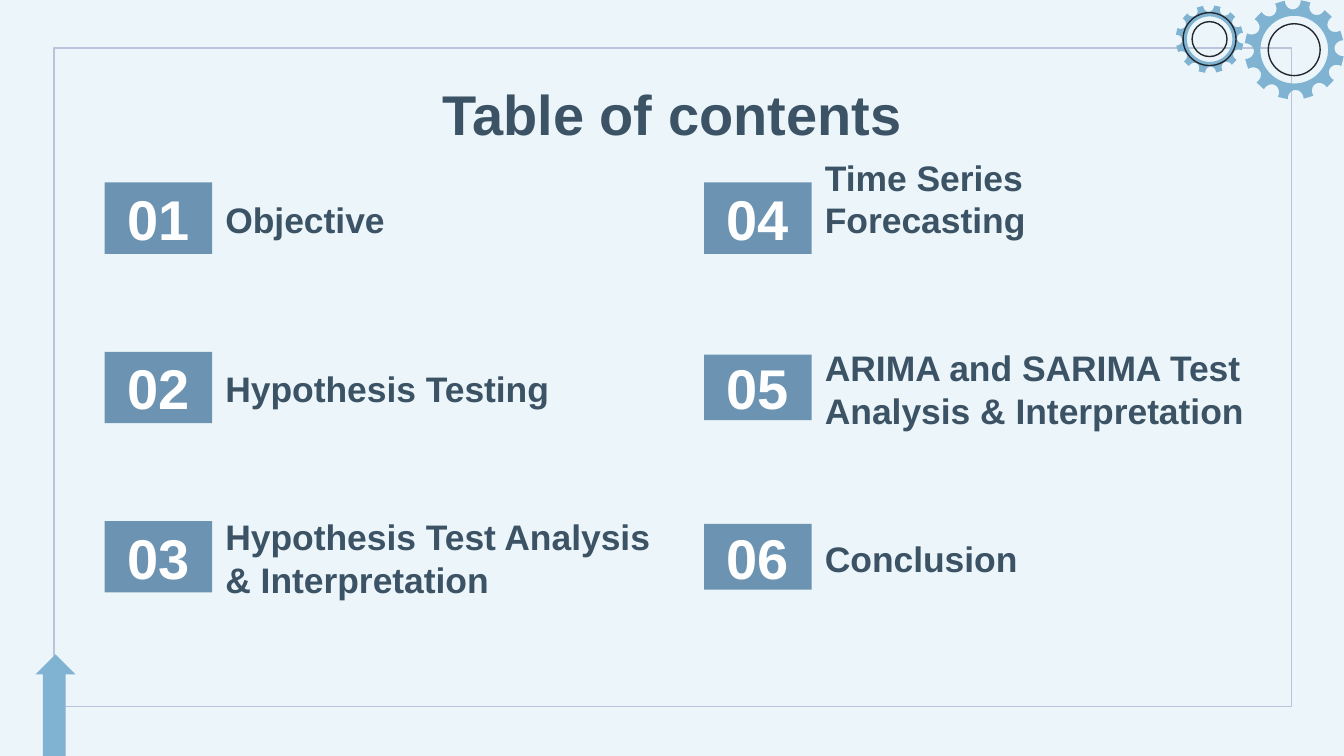
from math import cos, pi, sin

from pptx import Presentation
from pptx.dml.color import RGBColor
from pptx.enum.shapes import MSO_SHAPE
from pptx.enum.text import MSO_ANCHOR, PP_ALIGN
from pptx.util import Cm, Pt

RECT, OVAL, TRIANGLE = MSO_SHAPE.RECTANGLE, MSO_SHAPE.OVAL, MSO_SHAPE.ISOSCELES_TRIANGLE
TOP, MIDDLE, BOTTOM = MSO_ANCHOR.TOP, MSO_ANCHOR.MIDDLE, MSO_ANCHOR.BOTTOM
LEFT, CENTER = PP_ALIGN.LEFT, PP_ALIGN.CENTER

COLORS = {
    "background": "ECF6FA",
    "frame": "B9C4DA",
    "accent": "80B3D2",
    "ring": "21272C",
    "badge": "6C94B2",
    "text": "3C5366",
    "white": "FFFFFF",
}

ITEMS = [
    ("Objective", 8.05, 1.35, 1.35),
    ("Hypothesis Testing", 8.05, 1.35, 1.35),
    ("Hypothesis Test Analysis & Interpretation", 9.02, 1.75, 1.35),
    ("Time Series Forecasting", 8.05, 1.35, 1.35),
    ("ARIMA and SARIMA Test Analysis & Interpretation", 8.79, 1.75, 1.24),
    ("Conclusion", 8.05, 1.35, 1.24),
]


class Deck:
    """Holds the style and the current slide, and draws each kind of element."""

    def __init__(self, prs):
        self.s = prs.slides.add_slide(prs.slide_layouts[6])
        self.paint(self.s.background.fill, "background")

    def paint(self, fill, color):
        fill.solid()
        fill.fore_color.rgb = RGBColor.from_string(COLORS[color])

    def style(self, sp, fill=None, line=None):
        sp.shadow.inherit = False
        if fill:
            self.paint(sp.fill, fill)
        else:
            sp.fill.background()
        if line:
            self.paint(sp.line.fill, line)
            sp.line.width = Pt(0.75)
        else:
            sp.line.fill.background()
        return sp

    def shape(self, kind, box, fill=None, line=None):
        sp = self.s.shapes.add_shape(kind, *map(Cm, box))
        return self.style(sp, fill, line)

    def label(self, sp, text, size, color, anchor, align):
        tf = sp.text_frame
        margins = dict.fromkeys(("margin_left", "margin_top", "margin_right", "margin_bottom"), Cm(0.25))
        for name, value in {"word_wrap": True, "vertical_anchor": anchor, **margins}.items():
            setattr(tf, name, value)
        p = tf.paragraphs[0]
        p.alignment = align
        r = p.add_run()
        r.text = text
        for name, value in {"name": "Arial", "size": Pt(size), "bold": True}.items():
            setattr(r.font, name, value)
        self.paint(r.font.fill, color)

    def text(self, box, text, size, anchor, align):
        sp = self.s.shapes.add_textbox(*map(Cm, box))
        self.label(sp, text, size, "text", anchor, align)

    def badge(self, box, text):
        sp = self.shape(RECT, box, "badge")
        self.label(sp, text, 30, "white", MIDDLE, CENTER)

    def ring(self, x, y, radius):
        self.shape(OVAL, (x - radius, y - radius, 2 * radius, 2 * radius), line="ring")

    def gear(self, x, y, radius, hole, teeth=12, steps=12):
        def place(angle, out, side=0):
            return (Cm(x + out * cos(angle) - side * sin(angle)),
                    Cm(y + out * sin(angle) + side * cos(angle)))

        rim = []
        for i in range(teeth):
            angle = 2 * pi * i / teeth - 0.03
            for j in range(steps + 1):
                t = pi * j / steps
                rim.append(place(angle, radius * (0.99 - 0.18 * sin(t)), -0.16 * radius * cos(t)))
            rim.append(place(angle + pi / teeth, radius))
        bore = [place(-2 * pi * i / 72, hole) for i in range(72)]
        builder = self.s.shapes.build_freeform(*rim[0], scale=1.0)
        builder.add_line_segments(rim[1:], close=True)
        builder.move_to(*bore[0])
        builder.add_line_segments(bore[1:], close=True)
        self.style(builder.convert_to_shape(), "accent")


def main():
    prs = Presentation()
    prs.slide_width, prs.slide_height = Cm(25.4), Cm(14.29)
    deck = Deck(prs)
    deck.shape(RECT, (1.02, 0.91, 23.39, 12.45), line="frame")
    deck.shape(RECT, (0.81, 12.65, 0.43, 1.64), "accent")
    deck.shape(TRIANGLE, (0.67, 12.37, 0.76, 0.38), "accent")
    for x, y, radius, hole, rings in [
        (22.86, 0.74, 0.64, 0.43, (0.5, 0.33)),
        (24.46, 0.94, 0.94, 0.64, (0.49,)),
    ]:
        deck.gear(x, y, radius, hole)
        for ring in rings:
            deck.ring(x, y, ring)

    deck.text((2, 1.25, 21.4, 1.6), "Table of contents", 30, TOP, CENTER)
    for i, (topic, width, height, badge_height) in enumerate(ITEMS):
        col, row = divmod(i, 3)
        x, y = 1.98 + 11.33 * col, 3.45 + 3.2 * row
        deck.badge((x, y + (1.35 - badge_height) / 2, 2.03, badge_height), f"{i + 1:02d}")
        deck.text((x + 2.03, y, width, height), topic, 19, BOTTOM, LEFT)
    prs.save("out.pptx")


if __name__ == "__main__":
    main()
